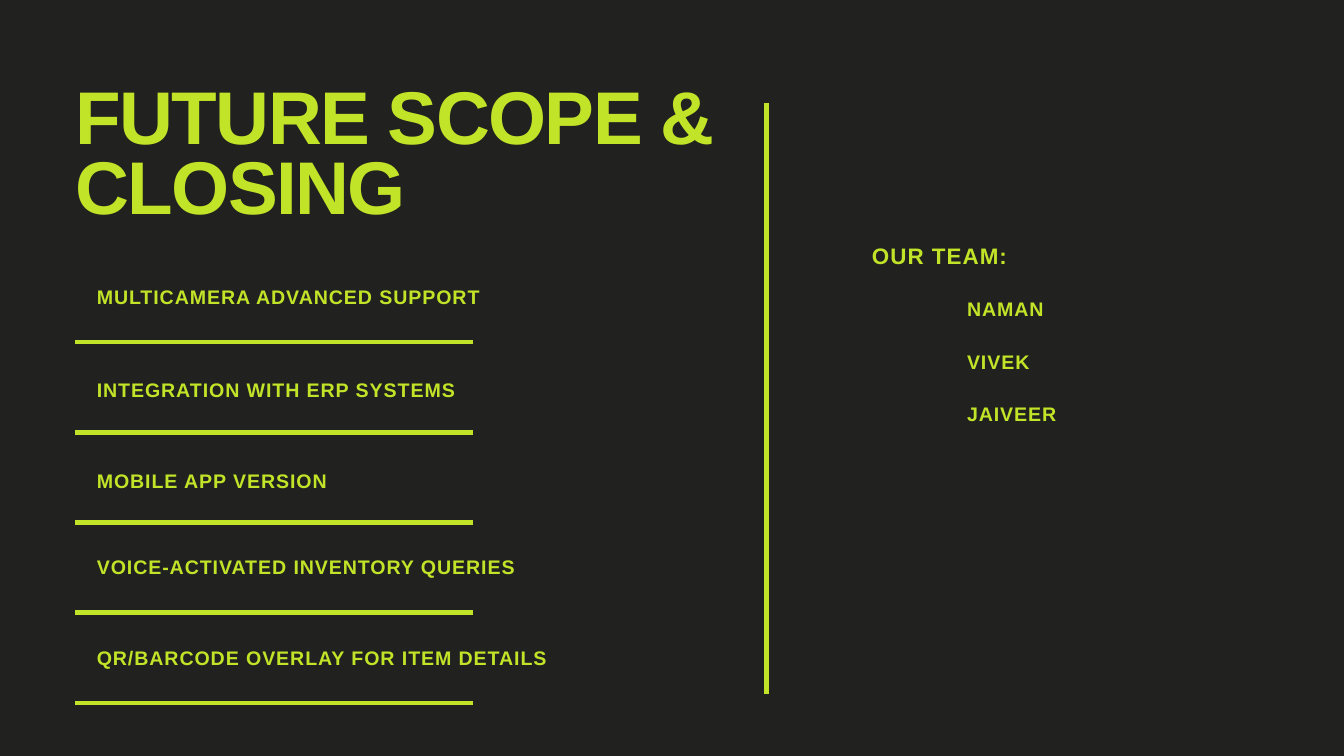
"""Build the closing slide: future scope list on the left, team on the right."""
from dataclasses import dataclass

from lxml.etree import SubElement
from pptx import Presentation
from pptx.dml.color import RGBColor
from pptx.enum.shapes import MSO_CONNECTOR
from pptx.enum.text import MSO_AUTO_SIZE, PP_ALIGN
from pptx.oxml.ns import qn
from pptx.util import Inches, Pt


@dataclass(frozen=True)
class Theme:
    bg: RGBColor = RGBColor(0x21, 0x21, 0x1F)
    lime: RGBColor = RGBColor(0xC1, 0xE3, 0x28)
    font: str = "Arial"
    rule: float = 5.25
    title: tuple = (80, 75.2, -170)
    heading: tuple = (24, 30.7, 110)
    item: tuple = (21, 26.9, 100)


THEME = Theme()


def add_text(s, text, box, style, align):
    size, spacing, tracking = style
    tf = s.shapes.add_textbox(*map(Inches, box)).text_frame
    frame = {"margin_left": 0, "margin_top": 0, "margin_right": 0, "margin_bottom": 0,
             "word_wrap": True, "auto_size": MSO_AUTO_SIZE.SHAPE_TO_FIT_TEXT}
    for name, value in frame.items():
        setattr(tf, name, value)
    p = tf.paragraphs[0]
    p.alignment, p.line_spacing = align, Pt(spacing)
    r = p.add_run()
    r.text = text
    for name, value in {"name": THEME.font, "size": Pt(size), "bold": True}.items():
        setattr(r.font, name, value)
    r.font.color.rgb = THEME.lime
    r._r.get_or_add_rPr().set("spc", str(tracking))


def add_rule(s, x1, y1, x2, y2):
    line = s.shapes.add_connector(MSO_CONNECTOR.STRAIGHT, *map(Inches, (x1, y1, x2, y2)))
    line.line.color.rgb = THEME.lime
    line.line.width = Pt(THEME.rule)
    SubElement(line._element.spPr, qn("a:effectLst"))


prs = Presentation()
prs.slide_width, prs.slide_height = Inches(20), Inches(11.25)
s = prs.slides.add_slide(prs.slide_layouts[6])
s.background.fill.solid()
s.background.fill.fore_color.rgb = THEME.bg

add_text(s, "FUTURE SCOPE & CLOSING", (1.12, 1.33, 10.68, 2.16), THEME.title, PP_ALIGN.LEFT)

scope = [
    ("MULTICAMERA ADVANCED SUPPORT", 4.22, 5.99),
    ("INTEGRATION WITH ERP SYSTEMS", 5.6, 5.6),
    ("MOBILE APP VERSION", 6.96, 4.41),
    ("VOICE-ACTIVATED INVENTORY QUERIES", 8.24, 6.45),
    ("QR/BARCODE OVERLAY FOR ITEM DETAILS", 9.59, 6.82),
]
for i, (text, top, width) in enumerate(scope):
    add_text(s, text, (1.44, top, width, 0.36), THEME.item, PP_ALIGN.JUSTIFY)
    y = 5.09 + 1.343 * i
    add_rule(s, 1.12, y, 7.04, y)

add_rule(s, 11.41, 10.33, 11.41, 1.53)

add_text(s, "OUR TEAM:", (12.97, 3.58, 2.02, 0.41), THEME.heading, PP_ALIGN.CENTER)
for i, member in enumerate(["NAMAN", "VIVEK", "JAIVEER"]):
    add_text(s, member, (14.39, 4.4 + 0.78 * i, 2.52, 0.36), THEME.item, PP_ALIGN.JUSTIFY)

prs.save("out.pptx")
